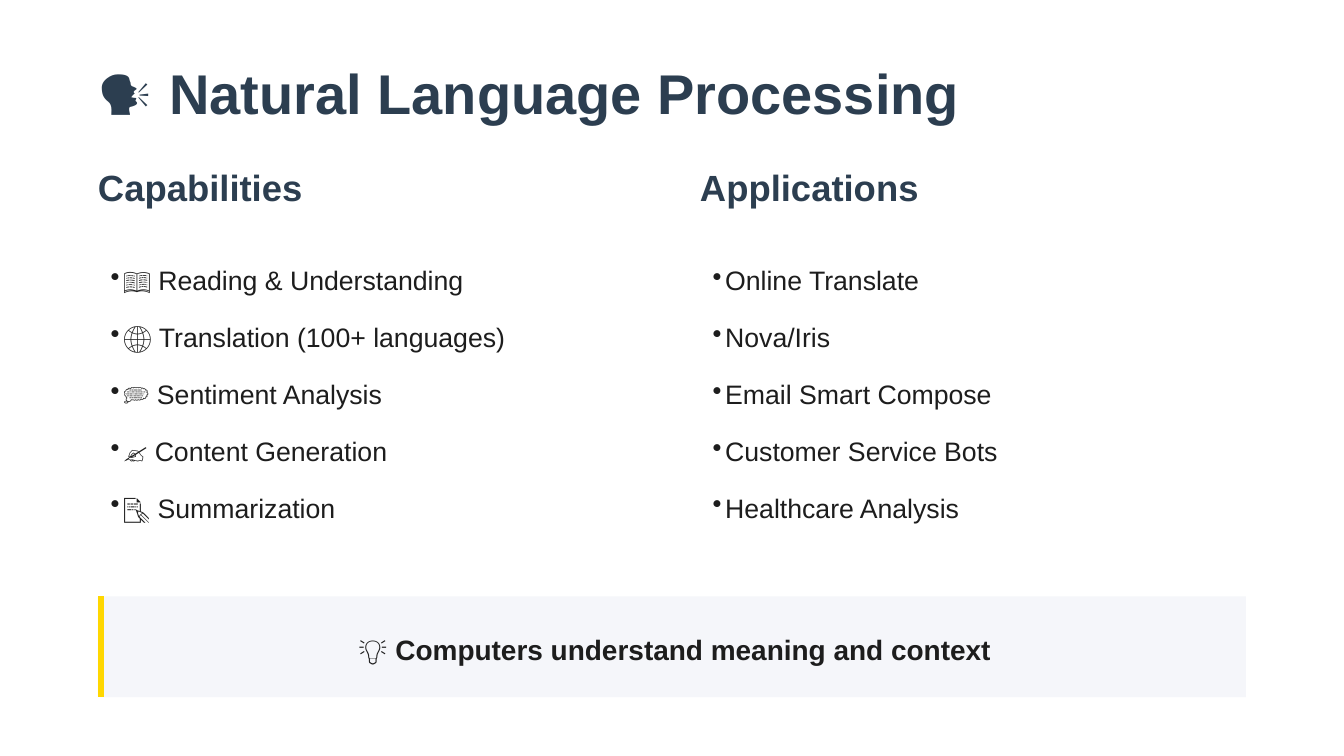
"""Build the natural language processing slide with capabilities and applications."""
from dataclasses import dataclass, field
from typing import Any

import pptx
import pptx.dml.color
import pptx.enum.shapes
import pptx.enum.text
import pptx.oxml.ns
import pptx.util
from lxml import etree

EMU_PER_PX = 9525


@dataclass(frozen=True)
class Theme:
    font: str = "Arial"
    heading_color: str = "2C3E50"
    body_color: str = "1D1D1D"
    panel_color: str = "F5F6FA"
    accent_color: str = "FFD700"
    title_size: float = 30
    heading_size: float = 19.5
    list_size: float = 14.25
    takeaway_size: float = 15
    accent_width: float = 3


@dataclass(frozen=True)
class Box:
    left: int
    top: int
    width: int
    height: int


@dataclass(frozen=True)
class Style:
    size: float
    color: str
    bold: bool
    spacing: dict[str, Any] = field(default_factory=dict)
    inset: int = 0
    bullet: str = ""


@dataclass(frozen=True)
class Column:
    left: int
    heading: str
    items: tuple[str, ...]


THEME = Theme()
TITLE = Style(THEME.title_size, THEME.heading_color, True,
              {"line_spacing": pptx.util.Pt(30), "space_after": pptx.util.Pt(22.5)})
HEADING = Style(THEME.heading_size, THEME.heading_color, True,
                {"line_spacing": pptx.util.Pt(21.7), "space_after": pptx.util.Pt(13.5)})
LIST = Style(THEME.list_size, THEME.body_color, False,
             {"line_spacing": pptx.util.Pt(22.2), "space_after": pptx.util.Pt(8.25)},
             inset=9, bullet="•")
TAKEAWAY = Style(THEME.takeaway_size, THEME.body_color, True,
                 {"line_spacing": pptx.util.Pt(21), "space_before": pptx.util.Pt(3),
                  "space_after": pptx.util.Pt(3),
                  "alignment": pptx.enum.text.PP_ALIGN.CENTER})

COLUMNS = (
    Column(70, "Capabilities", (
        "📖 Reading & Understanding",
        "🌐 Translation (100+ languages)",
        "💭 Sentiment Analysis",
        "✍️ Content Generation",
        "📝 Summarization",
    )),
    Column(500, "Applications", (
        "Online Translate",
        "Nova/Iris",
        "Email Smart Compose",
        "Customer Service Bots",
        "Healthcare Analysis",
    )),
)


def px(length: int) -> pptx.util.Emu:
    """Turn a length in px into EMU."""
    return pptx.util.Emu(length * EMU_PER_PX)


def rgb(color: str) -> pptx.dml.color.RGBColor:
    """Turn a hex string into a colour."""
    return pptx.dml.color.RGBColor.from_string(color)


def place(box: Box) -> tuple[pptx.util.Emu, ...]:
    """Return left, top, width and height in EMU."""
    return px(box.left), px(box.top), px(box.width), px(box.height)


def apply(target: Any, values: dict[str, Any]) -> None:
    """Set each named attribute on the target."""
    for name, value in values.items():
        setattr(target, name, value)


def add_bullet(paragraph: Any, mark: str, indent: int) -> None:
    """Give a paragraph a hanging bullet as large as its text."""
    properties = paragraph._p.get_or_add_pPr()
    properties.set("marL", str(px(indent)))
    properties.set("indent", str(-px(indent)))
    etree.SubElement(properties, pptx.oxml.ns.qn("a:buSzPct")).set("val", "100000")
    etree.SubElement(properties, pptx.oxml.ns.qn("a:buChar")).set("char", mark)


def add_text(slide: Any, box: Box, lines: tuple[str, ...], style: Style) -> None:
    """Add a text box with one paragraph for each line."""
    frame = slide.shapes.add_textbox(*place(box)).text_frame
    apply(frame, {"word_wrap": True, "margin_left": px(style.inset),
                  "margin_top": 0, "margin_right": 0, "margin_bottom": 0})
    for index, line in enumerate(lines):
        paragraph = frame.add_paragraph() if index else frame.paragraphs[0]
        apply(paragraph, style.spacing)
        run = paragraph.add_run()
        run.text = line
        apply(run.font, {"name": THEME.font, "size": pptx.util.Pt(style.size),
                         "bold": style.bold})
        run.font.color.rgb = rgb(style.color)
        if style.bullet:
            add_bullet(paragraph, style.bullet, style.inset)


def add_column(slide: Any, column: Column) -> None:
    """Add a heading with its bullet list."""
    add_text(slide, Box(column.left, 120, 200, 29), (column.heading,), HEADING)
    add_text(slide, Box(column.left, 182, 390, 219), column.items, LIST)


def add_panel(slide: Any, box: Box) -> None:
    """Add the takeaway panel with an accent bar on its left edge."""
    panel = slide.shapes.add_shape(pptx.enum.shapes.MSO_SHAPE.RECTANGLE, *place(box))
    panel.shadow.inherit = False
    panel.fill.solid()
    panel.fill.fore_color.rgb = rgb(THEME.panel_color)
    panel.line.fill.background()
    accent_left = px(box.left + 2)
    accent = slide.shapes.add_connector(
        pptx.enum.shapes.MSO_CONNECTOR.STRAIGHT,
        accent_left, px(box.top), accent_left, px(box.top + box.height))
    accent.line.color.rgb = rgb(THEME.accent_color)
    accent.line.width = pptx.util.Pt(THEME.accent_width)
    etree.SubElement(accent._element.spPr, pptx.oxml.ns.qn("a:effectLst"))


def main() -> None:
    """Build and save the slide."""
    deck = pptx.Presentation()
    apply(deck, {"slide_width": px(960), "slide_height": px(540)})
    slide = deck.slides.add_slide(deck.slide_layouts[6])
    add_text(slide, Box(70, 50, 638, 40), ("🗣️ Natural Language Processing",), TITLE)
    for column in COLUMNS:
        add_column(slide, column)
    add_panel(slide, Box(70, 426, 820, 72))
    add_text(slide, Box(84, 448, 796, 28),
             ("💡 Computers understand meaning and context",), TAKEAWAY)
    deck.save("out.pptx")


if __name__ == "__main__":
    main()
